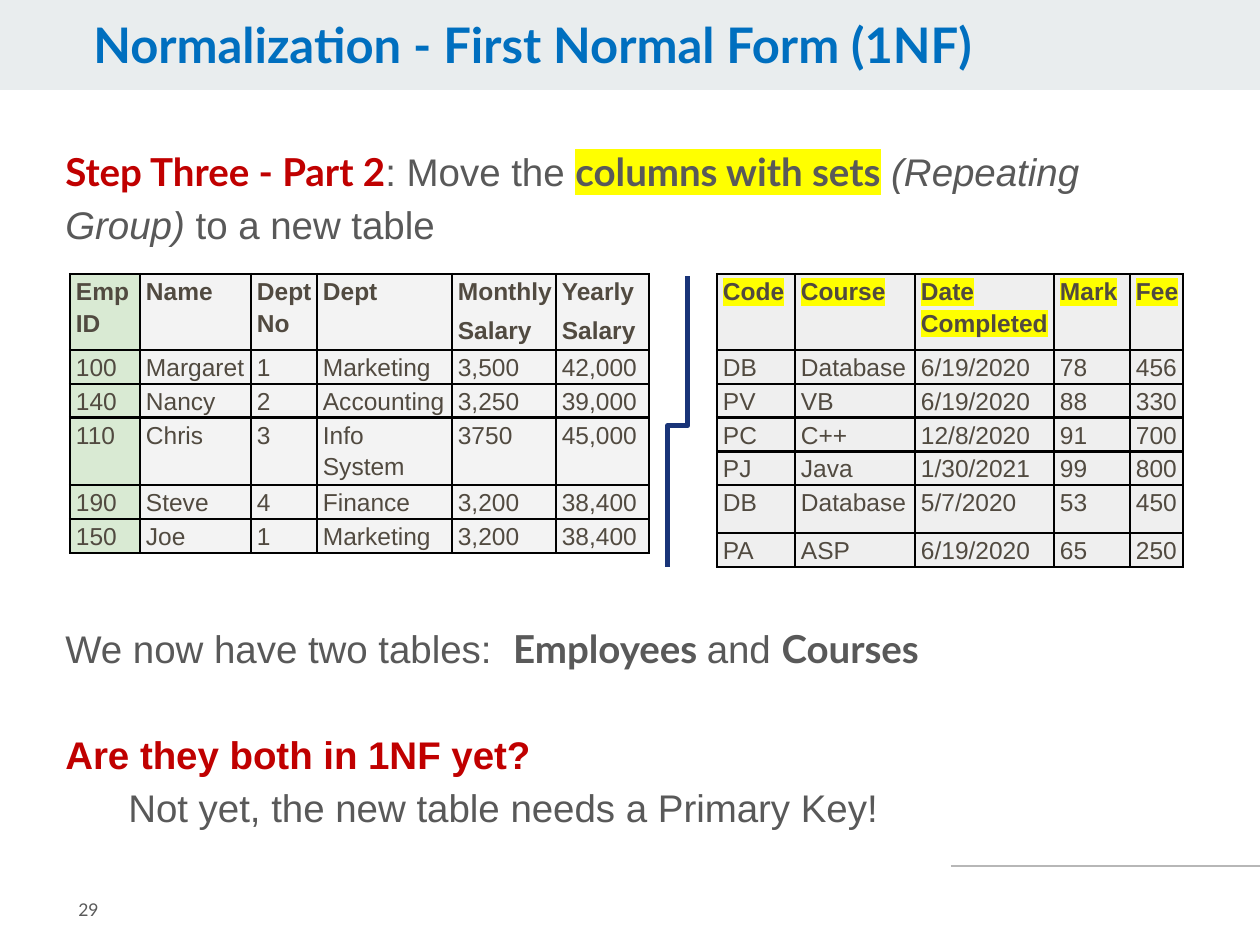
"""Builds the slide on moving repeating groups to a new table for first normal form."""
import pptx
import pptx.dml.color
import pptx.enum.shapes
import pptx.enum.text
import pptx.oxml
import pptx.oxml.ns
import pptx.util

PX = 914400 / 126
Pt = pptx.util.Pt
RGB = pptx.dml.color.RGBColor
BLUE = RGB(0x00, 0x6F, 0xBF)
NAVY = RGB(0x19, 0x34, 0x78)
RED = RGB(0xC0, 0x00, 0x00)
GREY = RGB(0x59, 0x59, 0x59)
BROWN = RGB(0x51, 0x4A, 0x40)
BAND = RGB(0xE9, 0xED, 0xEE)
RULE = RGB(0xB7, 0xB7, 0xB7)
GREEN = RGB(0xD9, 0xEA, 0xD3)
PALE = RGB(0xF3, 0xF3, 0xF3)
LIGHT = RGB(0xEF, 0xEF, 0xEF)
NS = pptx.oxml.ns.nsdecls("a")
MIDDLE = pptx.enum.text.MSO_ANCHOR.MIDDLE
TOP = pptx.enum.text.MSO_ANCHOR.TOP
CONNECTOR = pptx.enum.shapes.MSO_CONNECTOR


def px(*values):
    return [round(v * PX) for v in values]


def add_run(p, text, color, highlight=False, **font):
    r = p.add_run()
    r.text = text
    r.font.color.rgb = color
    if highlight:
        r.font._element.append(pptx.oxml.parse_xml(
            f'<a:highlight {NS}><a:srgbClr val="FFFF00"/></a:highlight>'))
    for key, value in font.items():
        setattr(r.font, key, value)


prs = pptx.Presentation()
prs.slide_width, prs.slide_height = px(1260, 945)
s = prs.slides.add_slide(prs.slide_layouts[6])

band = s.shapes.add_shape(pptx.enum.shapes.MSO_SHAPE.RECTANGLE, *px(0, 0, 1260, 90))
band.shadow.inherit = False
band.fill.solid()
band.fill.fore_color.rgb = BAND
band.line.fill.background()

plain = {"color": GREY, "name": "Arial", "size": Pt(22), "bold": False}
strong = {**plain, "name": "Lato", "bold": True}
title = {**strong, "color": BLUE, "size": Pt(28)}
number = {**plain, "name": "Lato", "size": Pt(10)}
body = [
    (0, 0, [("Step Three - Part 2", {**strong, "color": RED}),
            (": Move the ", plain),
            ("columns with sets", {**strong, "highlight": True}),
            (" ", plain),
            ("(Repeating Group) ", {**plain, "italic": True}),
            ("to a new table", plain)]),
    (212, 0, [("We now have two tables:  ", plain), ("Employees ", strong),
              ("and ", plain), ("Courses", strong)]),
    (30, 0, [("Are they both in 1NF yet?", {**plain, "color": RED, "bold": True})]),
    (0, 63, [("Not yet, the new table needs a Primary Key!", plain)]),
]
boxes = [
    ((81, 13, 993, 69), MIDDLE, 0.9,
     [(0, 0, [("Normalization - First Normal Form (1NF)", title)])]),
    ((53, 135, 1148, 662), TOP, 1.15, body),
    ((66, 873, 155, 72), MIDDLE, 1.0, [(0, 0, [("29", number)])]),
]
for box, anchor, spacing, paragraphs in boxes:
    tf = s.shapes.add_textbox(*px(*box)).text_frame
    tf.word_wrap = True
    tf.vertical_anchor = anchor
    for i, (before, indent, runs) in enumerate(paragraphs):
        p = tf.add_paragraph() if i else tf.paragraphs[0]
        p.line_spacing = spacing
        if before:
            p.space_before = Pt(before)
        if indent:
            p._p.get_or_add_pPr().set("indent", str(*px(indent)))
        for text, style in runs:
            add_run(p, text, **style)

employees = [
    ["Emp ID", "Name", "Dept No", "Dept", "Monthly\nSalary", "Yearly\nSalary"],
    ["100", "Margaret", "1", "Marketing", "3,500", "42,000"],
    ["140", "Nancy", "2", "Accounting", "3,250", "39,000"],
    ["110", "Chris", "3", "Info System", "3750", "45,000"],
    ["190", "Steve", "4", "Finance", "3,200", "38,400"],
    ["150", "Joe", "1", "Marketing", "3,200", "38,400"],
]
courses = [
    ["Code", "Course", "Date Completed", "Mark", "Fee"],
    ["DB", "Database", "6/19/2020", "78", "456"],
    ["PV", "VB", "6/19/2020", "88", "330"],
    ["PC", "C++", "12/8/2020", "91", "700"],
    ["PJ", "Java", "1/30/2021", "99", "800"],
    ["DB", "Database", "5/7/2020", "53", "450"],
    ["PA", "ASP", "6/19/2020", "65", "250"],
]
tables = [
    (70, [70, 111, 66, 135, 104, 93], [76, 26, 26, 48, 26, 26], employees, GREEN, PALE, False),
    (717, [78, 120, 139, 76, 53], [76, 26, 26, 26, 26, 48, 26], courses, LIGHT, LIGHT, True),
]
for left, widths, heights, rows, key_fill, fill, marked in tables:
    table = s.shapes.add_table(len(rows), len(widths),
                               *px(left, 274, sum(widths), sum(heights))).table
    table.first_row = table.horz_banding = False
    for col, width in zip(table.columns, px(*widths)):
        col.width = width
    for row, height in zip(table.rows, px(*heights)):
        row.height = height
    for i, values in enumerate(rows):
        for j, value in enumerate(values):
            cell = table.cell(i, j)
            cell.margin_left, cell.margin_right, cell.margin_top, cell.margin_bottom = px(6, 0, 0, 0)
            for side in "LRTB":
                cell._tc.get_or_add_tcPr().append(pptx.oxml.parse_xml(
                    f'<a:ln{side} {NS} w="19050"><a:solidFill><a:srgbClr val="000000"/>'
                    f'</a:solidFill></a:ln{side}>'))
            cell.fill.solid()
            cell.fill.fore_color.rgb = fill if j else key_fill
            tf = cell.text_frame
            for n, text in enumerate(value.split("\n")):
                p = tf.add_paragraph() if n else tf.paragraphs[0]
                p.line_spacing = 1.15
                if n:
                    p.space_before = Pt(4)
                add_run(p, text, BROWN, marked and i == 0,
                        name="Arial", size=Pt(14), bold=i == 0)

rule = s.shapes.add_connector(CONNECTOR.STRAIGHT, *px(951, 866, 1260, 866))
divider = s.shapes.add_connector(CONNECTOR.ELBOW, *px(532, 412, 823, 432))
divider.rotation = 90
geom = divider._element.spPr.find(pptx.oxml.ns.qn("a:prstGeom"))
geom.find(pptx.oxml.ns.qn("a:avLst")).append(
    pptx.oxml.parse_xml(f'<a:gd {NS} name="adj1" fmla="val 51300"/>'))
for sp, color, width in [(rule, RULE, 0.75), (divider, NAVY, 3)]:
    sp.line.color.rgb = color
    sp.line.width = Pt(width)
    sp._element.spPr.append(pptx.oxml.parse_xml(f"<a:effectLst {NS}/>"))

prs.save("out.pptx")
